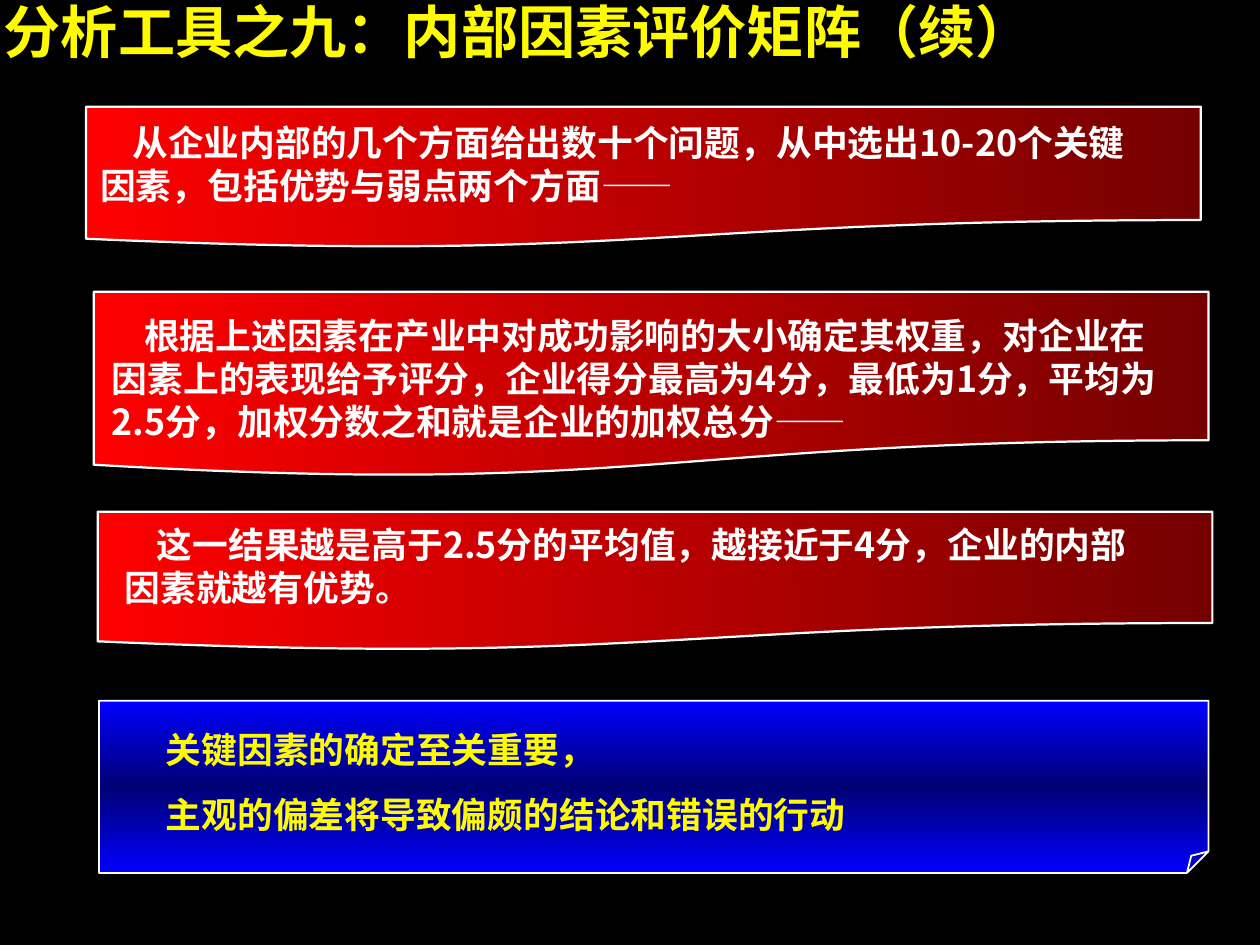
from copy import deepcopy

from lxml import etree
from pptx import Presentation
from pptx.dml.color import RGBColor
from pptx.enum.shapes import MSO_SHAPE as SHAPE
from pptx.enum.text import MSO_ANCHOR as ANCHOR
from pptx.oxml.ns import qn
from pptx.util import Pt

PX = 9144  # 100 px to the inch
FONT = "Noto Sans CJK SC"
WHITE, YELLOW = "FFFFFF", "FEFB00"
RED_FADE = ["750000", "FF0000"]
BLUE_BAND = ["0000FE", "000075", "0000FE"]
DASH = "——"


def color(hex_string):
    return RGBColor.from_string(hex_string)


def add_text(box, lines, size, hex_string, indent=0, space_after=0, shadow=True):
    """Write lines into a new text box; the closing dash is not bold."""
    left, top, width, height = [n * PX for n in box]
    frame = slide.shapes.add_textbox(left, top, width, height).text_frame
    frame.word_wrap = True
    frame.vertical_anchor = ANCHOR.TOP
    frame.margin_left = frame.margin_top = frame.margin_right = frame.margin_bottom = 0
    for number, line in enumerate(lines):
        paragraph = frame.paragraphs[0] if number == 0 else frame.add_paragraph()
        paragraph.space_after = Pt(space_after)
        if number == 0 and indent:
            paragraph._p.get_or_add_pPr().set("indent", str(indent * PX))
        body = line.removesuffix(DASH)
        for text in [body, line[len(body):]]:
            if not text:
                continue
            run = paragraph.add_run()
            run.text = text
            run.font.size = Pt(size)
            run.font.bold = text != DASH
            run.font.color.rgb = color(hex_string)
            run.font.name = FONT
            properties = run._r.get_or_add_rPr()
            latin = properties.find(qn("a:latin"))
            east_asian = etree.Element(qn("a:ea"), typeface=FONT)
            latin.addnext(east_asian)
            if shadow:
                effects = etree.Element(qn("a:effectLst"))
                outer = etree.SubElement(effects, qn("a:outerShdw"),
                                         dist="25400", dir="2700000")
                etree.SubElement(outer, qn("a:srgbClr"), val="000000")
                latin.addprevious(effects)


presentation = Presentation()
presentation.slide_width = 980 * PX
presentation.slide_height = 735 * PX
slide = presentation.slides.add_slide(presentation.slide_layouts[6])
slide.background.fill.solid()
slide.background.fill.fore_color.rgb = color("000000")

# Title
add_text((3, -3, 960, 53), ["分析工具之九：内部因素评价矩阵（续）"], 32, YELLOW, shadow=False)

# Panels: shape, box, gradient, angle, line width
panels = [
    (SHAPE.FLOWCHART_DOCUMENT, (67, 83, 867, 110), RED_FADE, 180, 1.25),
    (SHAPE.FLOWCHART_DOCUMENT, (73, 227, 867, 144), RED_FADE, 180, 1.25),
    (SHAPE.FLOWCHART_DOCUMENT, (76, 398, 867, 108), RED_FADE, 180, 1.25),
    (SHAPE.FOLDED_CORNER, (77, 545, 863, 134), BLUE_BAND, 90, 1),
]
for kind, box, colors, angle, line_width in panels:
    shape = slide.shapes.add_shape(kind, *[n * PX for n in box])
    shape.shadow.inherit = False
    shape.line.color.rgb = color(WHITE)
    shape.line.width = Pt(line_width)
    if kind == SHAPE.FOLDED_CORNER:
        guides = shape._element.spPr.find(qn("a:prstGeom")).find(qn("a:avLst"))
        etree.SubElement(guides, qn("a:gd"), name="adj", fmla="val 12500")
    shape.fill.gradient()
    shape.fill.gradient_angle = angle
    stop_list = shape._element.spPr.find(qn("a:gradFill")).find(qn("a:gsLst"))
    while len(stop_list) < len(colors):
        stop_list.append(deepcopy(stop_list[0]))
    for number, stop in enumerate(shape.fill.gradient_stops):
        stop.position = number / (len(colors) - 1)
        stop.color.rgb = color(colors[number])

# Steps on the red panels
add_text((78, 94, 873, 67),
         ["从企业内部的几个方面给出数十个问题，从中选出10-20个关键",
          "因素，包括优势与弱点两个方面——"], 20, WHITE, indent=25)
add_text((87, 244, 825, 100),
         ["根据上述因素在产业中对成功影响的大小确定其权重，对企业在因素上的表现给予评分，"
          "企业得分最高为4分，最低为1分，平均为2.5分，加权分数之和就是企业的加权总分——"],
         20, WHITE, indent=25)
add_text((97, 407, 840, 67),
         ["这一结果越是高于2.5分的平均值，越接近于4分，企业的内部",
          "因素就越有优势。"], 20, WHITE, indent=25)

# Conclusion on the blue panel
add_text((129, 566, 827, 84),
         ["关键因素的确定至关重要，", "主观的偏差将导致偏颇的结论和错误的行动"],
         20, YELLOW, space_after=12.5)

presentation.save("out.pptx")
